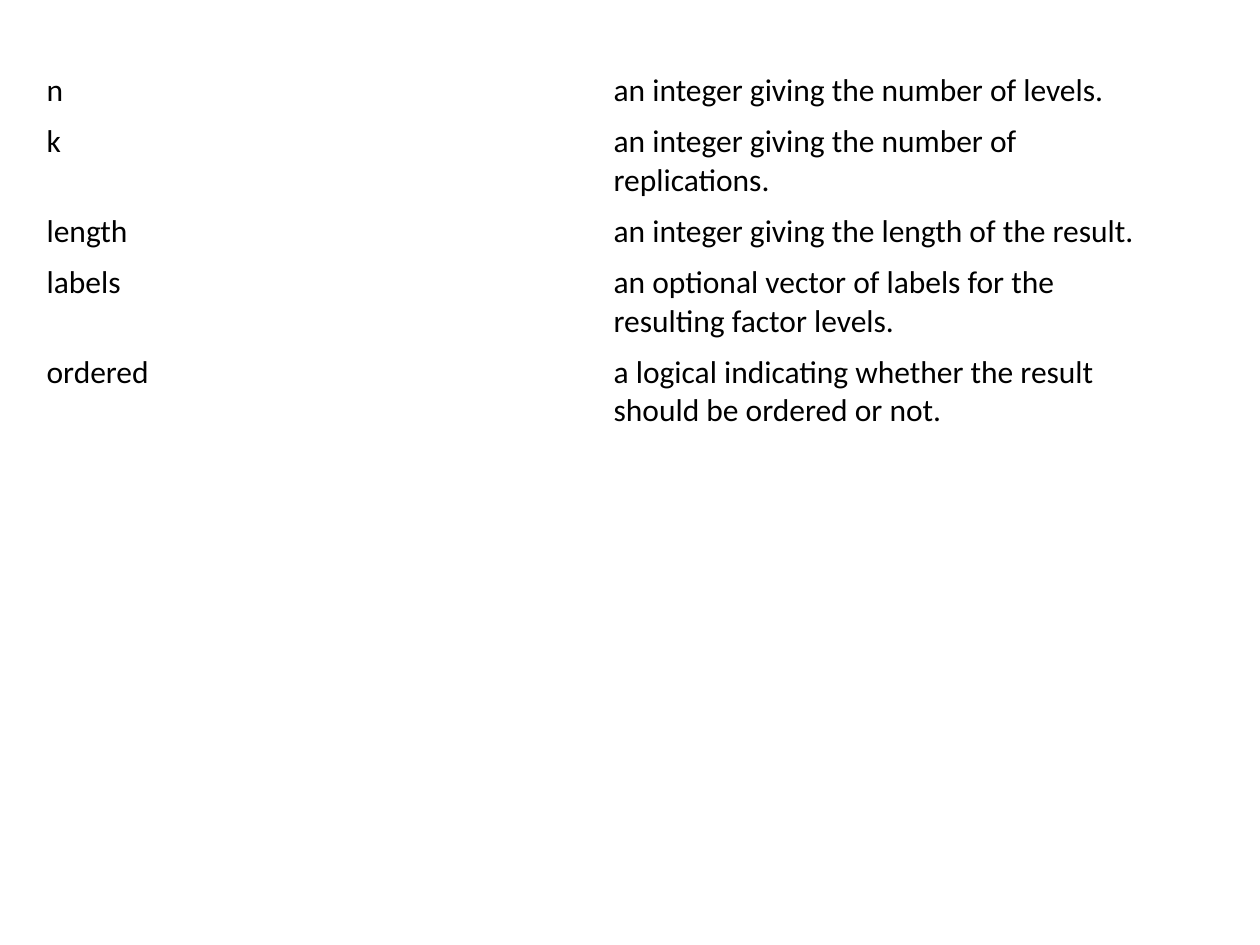
from pptx import Presentation
from pptx.dml.color import RGBColor
from pptx.util import Inches, Pt

ROWS = [
    ("n", "an integer giving the number of levels.", 0.4),
    ("k", "an integer giving the number of replications.", 0.7),
    ("length", "an integer giving the length of the result.", 0.4),
    ("labels", "an optional vector of labels for the resulting factor levels.", 0.7),
    ("ordered", "a logical indicating whether the result should be ordered or not.", 0.7),
]
THEME = {
    "font": "Calibri",
    "size": Pt(18),
    "ink": RGBColor(0, 0, 0),
    "paper": RGBColor(255, 255, 255),
}
LEFT, TOP, WIDTH = 0.27, 0.52, 9


def fill_cell(cell, text):
    cell.fill.solid()
    cell.fill.fore_color.rgb = THEME["paper"]
    cell.text_frame.text = text
    font = cell.text_frame.paragraphs[0].runs[0].font
    font.name = THEME["font"]
    font.size = THEME["size"]
    font.bold = False
    font.color.rgb = THEME["ink"]


def main():
    deck = Presentation()
    deck.slide_width, deck.slide_height = Inches(10), Inches(7.5)
    slide = deck.slides.add_slide(deck.slide_layouts[6])
    total = sum(height for _, _, height in ROWS)
    table = slide.shapes.add_table(
        len(ROWS), 2, Inches(LEFT), Inches(TOP), Inches(WIDTH), Inches(total)
    ).table
    table.first_row = False
    table.horz_banding = False
    for row, (name, meaning, height) in zip(table.rows, ROWS):
        row.height = Inches(height)
        for cell, text in zip(row.cells, (name, meaning)):
            fill_cell(cell, text)
    deck.save("out.pptx")


if __name__ == "__main__":
    main()
